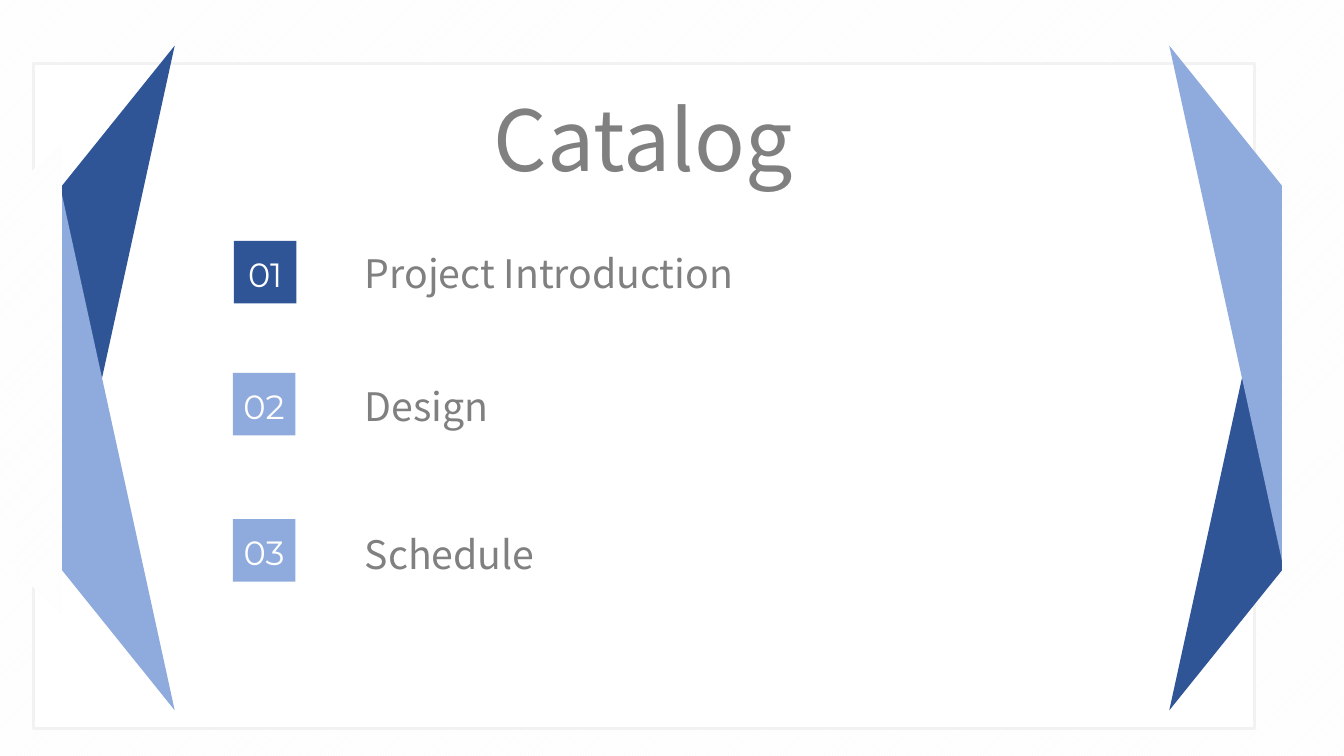
import pptx
import pptx.util
import pptx.dml.color
import pptx.enum.dml
import pptx.enum.shapes
import pptx.enum.text

RGB = pptx.dml.color.RGBColor
KIND = pptx.enum.shapes.MSO_SHAPE
ALIGN = pptx.enum.text.PP_ALIGN
NAVY = RGB(0x2F, 0x55, 0x97)
SKY = RGB(0x8F, 0xAA, 0xDC)
GRAY = RGB(0x80, 0x80, 0x80)
PALE = RGB(0xF2, 0xF2, 0xF2)
MIST = RGB(0xF8, 0xF8, 0xF8)
WHITE = RGB(0xFF, 0xFF, 0xFF)
COLS, ROWS = 1333, 750

deck = pptx.Presentation()
deck.slide_width = pptx.util.Inches(13.33)
deck.slide_height = pptx.util.Inches(7.5)
unit = deck.slide_width // COLS
slide = deck.slides.add_slide(deck.slide_layouts[5])
title = slide.shapes.title


def draw(kind, box, fill=None):
    shape = slide.shapes.add_shape(kind, *[round(n * unit) for n in box])
    shape.shadow.inherit = False
    shape.line.fill.background()
    if fill is None:
        shape.fill.patterned()
        shape.fill.pattern = pptx.enum.dml.MSO_PATTERN.DARK_UPWARD_DIAGONAL
        shape.fill.fore_color.rgb = MIST
        shape.fill.back_color.rgb = WHITE
    else:
        shape.fill.solid()
        shape.fill.fore_color.rgb = fill
    return shape


def write(shape, text, size, face, color, align, **extra):
    frame = shape.text_frame
    style = dict(margin_top=pptx.util.Inches(0.05), margin_bottom=pptx.util.Inches(0.05),
                 margin_left=pptx.util.Inches(0.1), margin_right=pptx.util.Inches(0.1),
                 vertical_anchor=pptx.enum.text.MSO_ANCHOR.MIDDLE,
                 auto_size=pptx.enum.text.MSO_AUTO_SIZE.NONE, word_wrap=True)
    style.update(extra)
    for name, value in style.items():
        setattr(frame, name, value)
    line = frame.paragraphs[0]
    line.alignment, line.line_spacing = align, 1.0
    run = line.add_run()
    run.text = text
    for name, value in dict(name=face, size=pptx.util.Pt(size)).items():
        setattr(run.font, name, value)
    run.font.color.rgb = color


draw(KIND.RECTANGLE, (0, 0, COLS, ROWS))
frame = draw(KIND.RECTANGLE, (33, 63, 1211, 660), WHITE)
frame.line.color.rgb = PALE
frame.line.width = pptx.util.Pt(2.25)

blades = [
    ((-2, 67, 237, 476), 38.8, False, NAVY),
    ((-2, 207, 237, 476), 321.2, True, SKY),
    ((-105, 209, 333, 333), 45, False, None),
]
for turn in (0, 180):
    for (left, top, wide, high), angle, flip, fill in blades:
        if turn:
            left, top = COLS - left - wide, ROWS - top - high
        blade = draw(KIND.RIGHT_TRIANGLE, (left, top, wide, high), fill)
        blade.rotation = (angle + turn) % 360
        if flip:
            blade._element.spPr.xfrm.set("flipV", "1")

place = dict(left=205, top=81, width=866, height=111)
for name, value in place.items():
    setattr(title, name, value * unit)
slide.shapes._spTree.append(title._element)
write(title, "Catalog", 60, "Noto Sans CJK JP", GRAY, ALIGN.CENTER)

items = [
    ("01", "Project Introduction", 232, 239, 242, 395, NAVY),
    ("02", "Design", 231, 370, 374, 150, SKY),
    ("03", "Schedule", 231, 515, 521, 191, SKY),
]
for mark, text, left, top, base, wide, fill in items:
    tile = draw(KIND.RECTANGLE, (left, top, 62, 62), fill)
    write(tile, mark, 24, "Montserrat", WHITE, ALIGN.CENTER, margin_left=0,
          margin_right=0, margin_top=pptx.util.Inches(0.08))
    label = slide.shapes.add_textbox(352 * unit, base * unit, wide * unit, 57 * unit)
    write(label, text, 28, "Noto Sans CJK JP", GRAY, ALIGN.LEFT, word_wrap=False)

deck.save("out.pptx")
